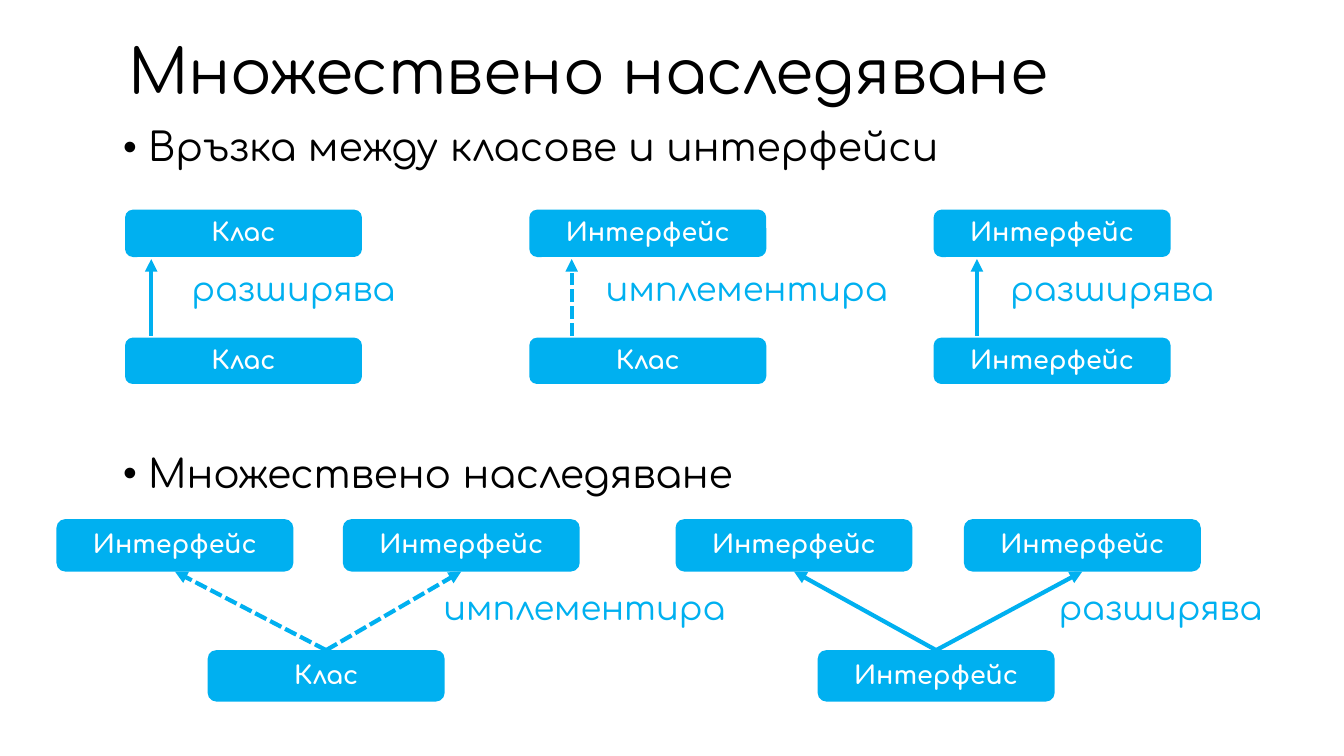
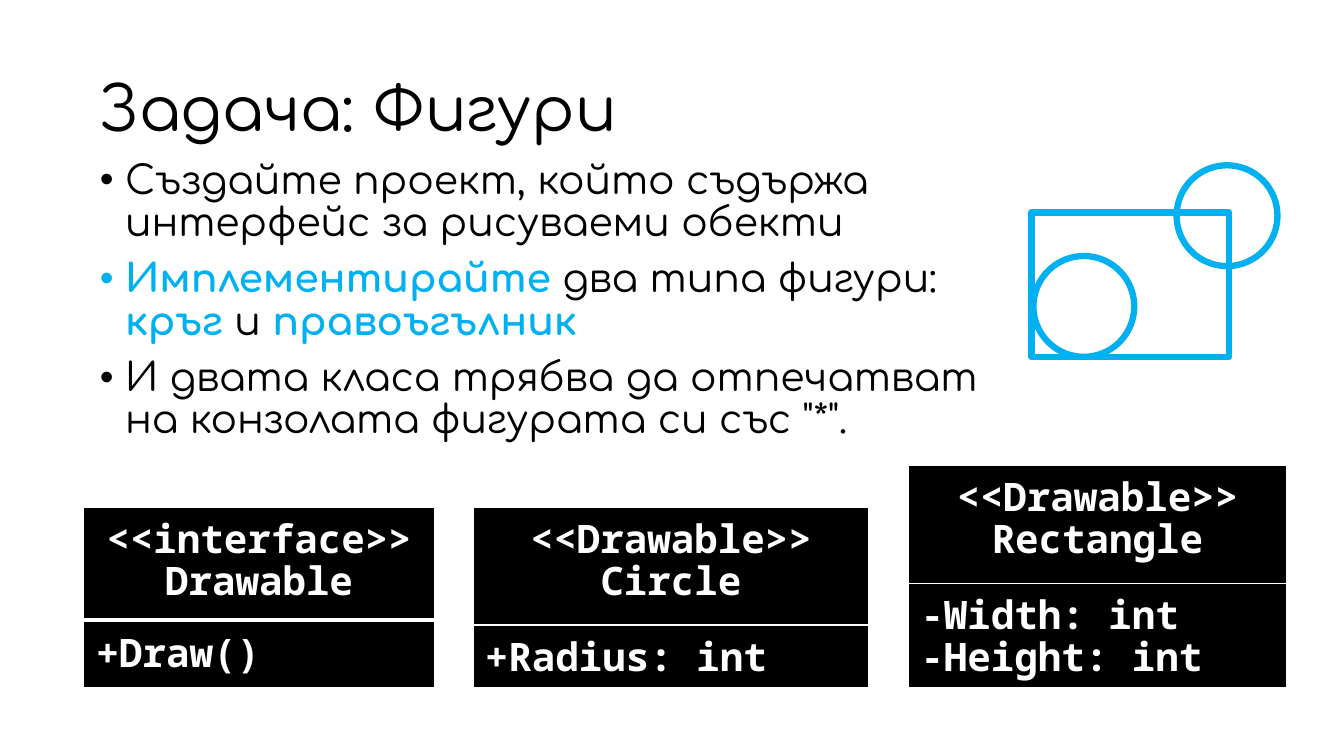
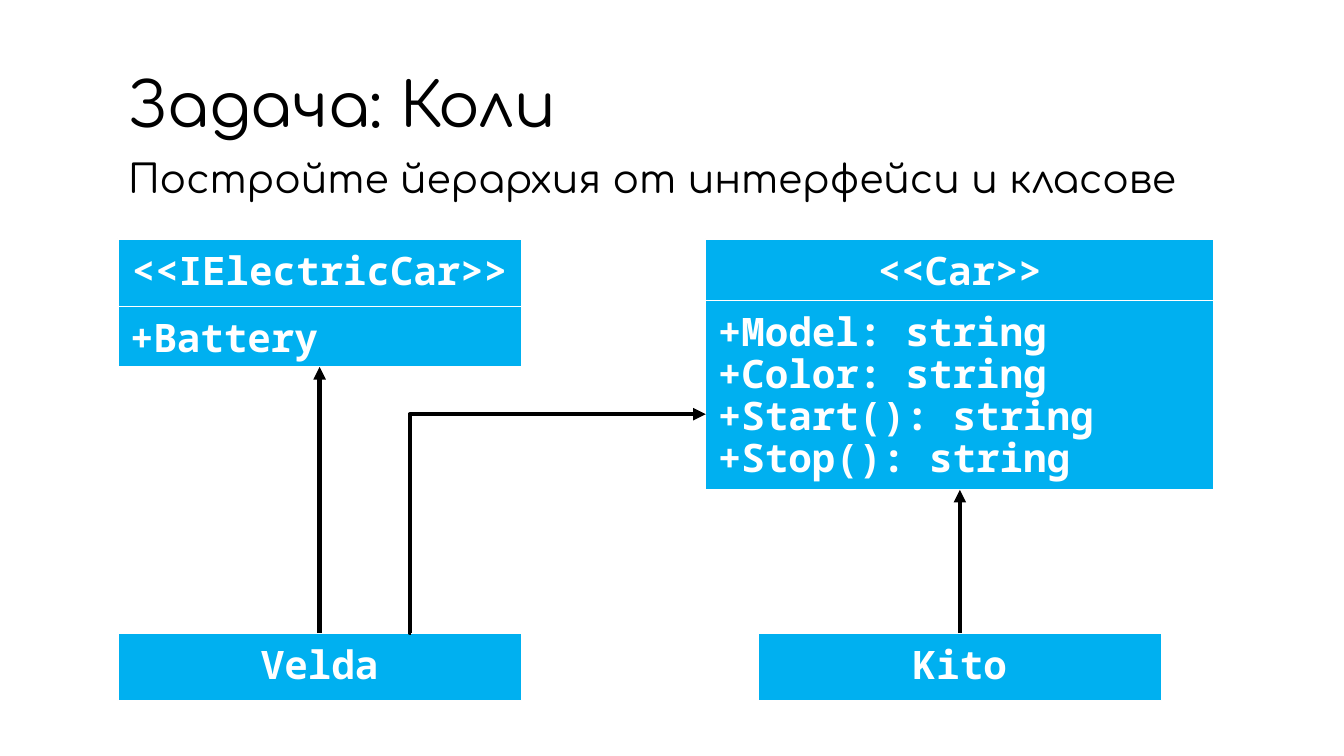
from dataclasses import dataclass

from lxml.etree import SubElement
from pptx import Presentation
from pptx.dml.color import RGBColor as RGB
from pptx.enum.dml import MSO_LINE as Dash
from pptx.enum.shapes import MSO_CONNECTOR as Link, MSO_SHAPE as Kind
from pptx.enum.text import MSO_ANCHOR as Anchor, MSO_AUTO_SIZE as Fit, PP_ALIGN as Align
from pptx.oxml.ns import qn
from pptx.util import Emu, Pt

SCALE = 9144  # EMU in one px


@dataclass(frozen=True)
class Theme:
    ink: RGB = RGB(0, 0, 0)
    blue: RGB = RGB(0, 176, 240)
    white: RGB = RGB(255, 255, 255)
    font: str = "Comfortaa"
    mono: str = "Noto Sans Mono"
    title: int = 44
    body: int = 28
    label: int = 24
    box: int = 18


T = Theme()

# Content: title spot, body spot, paragraphs; spots are (left, top, width, height)
LINKS = dict(
    title="Множествено наследяване", spot=(117, 26, 1076, 95),
    paras=["Връзка между класове и интерфейси", "Множествено наследяване"],
    area=(112, 122, 1105, 584), gap=203,
)
SHAPES = dict(
    title="Задача: Фигури", spot=(89, 64, 1051, 94),
    paras=[
        "Създайте проект, който съдържа интерфейс за рисуваеми обекти",
        [("Имплементирайте", True), (" два типа фигури:", False), ("\n", False),
         ("кръг", True), (" и ", False), ("правоъгълник", True)],
        "И двата класа трябва да отпечатват на конзолата фигурата си със \"*\".",
    ],
    area=(89, 154, 926, 309), gap=10,
)
CARS = dict(
    title="Задача: Коли", spot=(117, 56, 1100, 102),
    paras=["Постройте йерархия от интерфейси и класове"],
    area=(117, 153, 1087, 67), bullet=False,
)

CLASS, FACE = "Клас", "Интерфейс"
EXTEND, IMPL = "разширява", "имплементира"
# upper box, lower box, label, label left, arrow x, dashed
PAIRS = [
    (CLASS, CLASS, EXTEND, 180, 150, False),
    (FACE, CLASS, IMPL, 591, 567, True),
    (FACE, FACE, EXTEND, 992, 969, False),
]
# parent lefts, child, child left, label, label left, dashed
FORKS = [
    ((56, 340), CLASS, 206, IMPL, 430, True),
    ((670, 956), FACE, 811, EXTEND, 1040, False),
]
# left, width, parts of (top, height, lines)
FIGURES = [
    (83, 348, [(503, 111, ["<<interface>>", "Drawable"]), (616, 66, ["+Draw()"])]),
    (469, 393, [(503, 117, ["<<Drawable>>", "Circle"]), (620, 62, ["+Radius: int"])]),
    (901, 375, [(462, 117, ["<<Drawable>>", "Rectangle"]),
                (579, 103, ["-Width: int", "-Height: int"])]),
]
SKETCH = [
    (Kind.RECTANGLE, (1023, 211, 196, 143)),
    (Kind.OVAL, (1167, 164, 100, 100)),
    (Kind.OVAL, (1025, 254, 100, 100)),
]
POWER = (117, 400, [(237, 67, ["<<IElectricCar>>"]), (304, 60, ["+Battery"])])
CAR = (700, 504, [(237, 61, ["<<Car>>"]),
                  (298, 188, ["+Model: string", "+Color: string",
                              "+Start(): string", "+Stop(): string"])])
MODELS = [(117, "Velda"), (752, "Kito")]


def px(*nums):
    return [Emu(n * SCALE) for n in nums]


def write(frame, paras, size, color=T.ink, font=T.font, bold=False, align=Align.LEFT,
          lead=1.0, gap=0, anchor=Anchor.TOP, wrap=True, inset=None, bullet=None,
          fit=Fit.NONE):
    """Fill a frame; a paragraph is a string or a list of (text, accented) runs."""
    frame.auto_size, frame.word_wrap, frame.vertical_anchor = fit, wrap, anchor
    if inset is not None:
        frame.margin_left = frame.margin_right = inset
        frame.margin_top = frame.margin_bottom = inset
    for i, item in enumerate(paras):
        para = frame.add_paragraph() if i else frame.paragraphs[0]
        para.alignment, para.line_spacing = align, lead
        para.space_before = Pt(gap if i else 0)
        if bullet is not None:
            mark(para, bullet)
        for text, hot in [(item, False)] if isinstance(item, str) else item:
            if text == "\n":
                para.add_line_break()
                continue
            run = para.add_run()
            run.text = text
            run.font.name, run.font.size = font, Pt(size)
            run.font.bold = bold or hot
            run.font.color.rgb = T.blue if hot else color


def mark(para, bullet):
    props = para._p.get_or_add_pPr()
    dent = 25 * SCALE if bullet else 0
    props.set("marL", str(dent))
    props.set("indent", str(-dent))
    if bullet:
        SubElement(props, qn("a:buChar")).set("char", "•")
    else:
        SubElement(props, qn("a:buNone"))


def start(deck, title, spot, paras, area, gap=0, bullet=True):
    """Add a slide with its title and body placed and filled."""
    slide = deck.slides.add_slide(deck.slide_layouts[1])
    head, body = slide.shapes.title, slide.placeholders[1]
    for part, place in ((head, spot), (body, area)):
        part.left, part.top, part.width, part.height = px(*place)
    write(head.text_frame, [title], T.title, lead=0.9, anchor=Anchor.MIDDLE)
    write(body.text_frame, paras, T.body, lead=0.9, gap=gap, bullet=bullet)
    return slide.shapes


def draw(shapes, kind, spot, fill=None, line=None, width=1):
    shape = shapes.add_shape(kind, *px(*spot))
    shape.shadow.inherit = False
    if fill is None:
        shape.fill.background()
    else:
        shape.fill.solid()
        shape.fill.fore_color.rgb = fill
    if line is None:
        shape.line.fill.background()
    else:
        shape.line.color.rgb, shape.line.width = line, Pt(width)
    return shape


def pill(shapes, text, *spot):
    shape = draw(shapes, Kind.ROUNDED_RECTANGLE, spot, T.blue)
    write(shape.text_frame, [text], T.box, T.white, bold=True, align=Align.CENTER,
          lead=0.95, anchor=Anchor.MIDDLE, wrap=False)
    return shape


def label(shapes, text, x, y):
    box = shapes.add_textbox(*px(x, y, 304 if text == IMPL else 225, 50))
    write(box.text_frame, [text], T.label, T.blue, wrap=False, fit=Fit.SHAPE_TO_FIT_TEXT)


def card(shapes, x, w, parts, fill):
    """Stack class-diagram parts, the first one centred; return their shapes."""
    if len(parts) > 1:
        shapes = shapes.add_group_shape().shapes
    made = []
    for i, (y, h, lines) in enumerate(parts):
        shape = draw(shapes, Kind.RECTANGLE, (x, y, w, h), fill, T.white)
        write(shape.text_frame, lines, T.body, T.white, T.mono, bold=True,
              align=Align.LEFT if i else Align.CENTER, lead=Pt(30), inset=Emu(12 * SCALE))
        made.append(shape)
    return made


def arrow(shapes, color, ends=(0, 0, 0, 0), join=None, dashed=False, bend=None):
    """Draw an arrow between points, or from the top of one shape to the base of another."""
    link = shapes.add_connector(Link.STRAIGHT if bend is None else Link.ELBOW, *px(*ends))
    if join:
        link.begin_connect(join[0], 0)
        link.end_connect(join[1], 2)
    link.line.color.rgb, link.line.width = color, Pt(3)
    if dashed:
        link.line.dash_style = Dash.SQUARE_DOT
    SubElement(link.line._get_or_add_ln(), qn("a:tailEnd")).set("type", "triangle")
    props = link._element.spPr
    SubElement(props, qn("a:effectLst"))
    if bend is not None:
        guide = SubElement(props.find(".//" + qn("a:avLst")), qn("a:gd"))
        guide.set("name", "adj1")
        guide.set("fmla", f"val {bend}")


def links(deck):
    shapes = start(deck, **LINKS)
    wide = 235
    for i, (upper, lower, word, left, x, dashed) in enumerate(PAIRS):
        col = 124 + 401 * i
        pill(shapes, upper, col, 208, wide, 47)
        pill(shapes, lower, col, 335, wide, 46)
        label(shapes, word, left, 261)
        arrow(shapes, T.blue, (x, 333, x, 257), dashed=dashed)
    for tops, child, x, word, left, dashed in FORKS:
        base = pill(shapes, child, x, 645, wide, 51)
        for top in tops:
            arrow(shapes, T.blue, join=(base, pill(shapes, FACE, top, 515, wide, 52)),
                  dashed=dashed)
        label(shapes, word, left, 577)


def figures(deck):
    shapes = start(deck, **SHAPES)
    for x, w, parts in FIGURES:
        card(shapes, x, w, parts, T.ink)
    for kind, spot in SKETCH:
        draw(shapes, kind, spot, line=T.blue, width=4.5)


def cars(deck):
    shapes = start(deck, **CARS)
    for roof, (x, name) in zip((POWER, CAR), MODELS):
        base = card(shapes, *roof, T.blue)[-1]
        model = card(shapes, x, 400, [(628, 67, [name])], T.blue)[0]
        arrow(shapes, T.ink, join=(model, base))
    arrow(shapes, T.ink, (408, 628, 700, 411), bend=-600)


def main():
    deck = Presentation()
    deck.slide_width, deck.slide_height = px(1333, 750)
    for build in (links, figures, cars):
        build(deck)
    deck.save("out.pptx")


if __name__ == "__main__":
    main()
